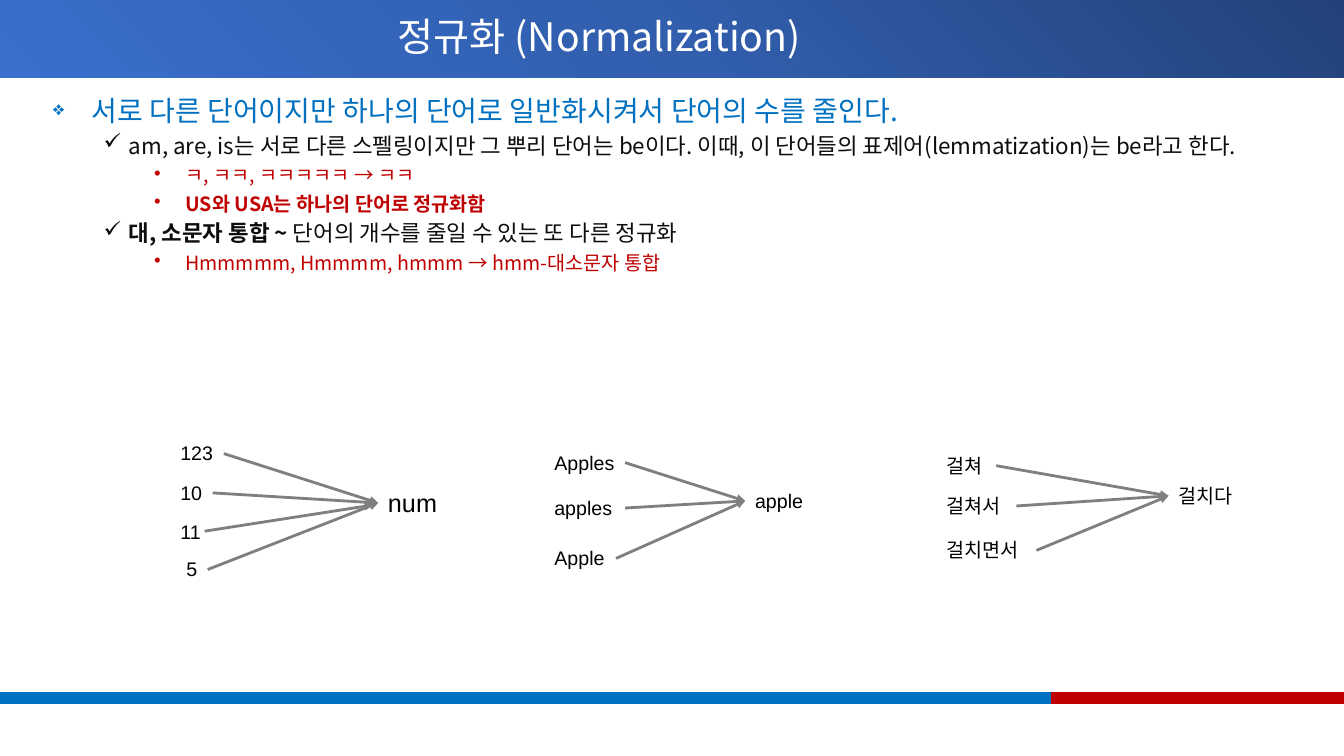
from dataclasses import dataclass
from typing import NamedTuple

from lxml import etree
from pptx import Presentation
from pptx.dml.color import RGBColor
from pptx.enum.shapes import MSO_CONNECTOR, MSO_SHAPE
from pptx.enum.text import MSO_ANCHOR, MSO_AUTO_SIZE, PP_ALIGN
from pptx.oxml import parse_xml
from pptx.oxml.ns import nsdecls, qn
from pptx.util import Emu, Pt

RECTANGLE = MSO_SHAPE.RECTANGLE
STRAIGHT = MSO_CONNECTOR.STRAIGHT
MIDDLE = MSO_ANCHOR.MIDDLE
CENTER = PP_ALIGN.CENTER
GROW = MSO_AUTO_SIZE.SHAPE_TO_FIT_TEXT
LEFT_SIDE, RIGHT_SIDE = 1, 3
EMU_PER_PX = 9144  # 100 px to the inch
TITLE_ONLY = 5


@dataclass(frozen=True)
class Theme:
    latin: str = "Arial"
    korean: str = "Noto Sans CJK KR"
    white: str = "FFFFFF"
    black: str = "000000"
    ink: str = "0D0D0D"
    blue: str = "0070C0"
    red: str = "C00000"
    arrow: str = "7F7F7F"
    header: tuple[str, str, str] = ("23427A", "315EAD", "3A6FCE")
    title_size: int = 28
    label_size: int = 14
    result_size: int = 18


THEME = Theme()


class Level(NamedTuple):
    bullet: str
    bullet_percent: int
    margin: int
    hanging: int
    size: int
    color: str
    space_before: int


TOPIC = Level("❖", 70, 38, 38, 20, THEME.blue, 10)
POINT = Level("✓", 100, 75, 25, 16, THEME.ink, 5)
EXAMPLE = Level("•", 100, 131, 31, 14, THEME.red, 5)


class Line(NamedTuple):
    level: Level
    text: str
    bold_lead: str = ""


class Word(NamedTuple):
    text: str
    left: int
    top: int
    width: int
    height: int = 34
    size: int = THEME.label_size
    loose_arrow: tuple[int, int, int, int] | None = None


class Mapping(NamedTuple):
    variants: list[Word]
    normal_form: Word


LINES = [
    Line(TOPIC, "서로 다른 단어이지만 하나의 단어로 일반화시켜서 단어의 수를 줄인다."),
    Line(POINT, "am, are, is는 서로 다른 스펠링이지만 그 뿌리 단어는 be이다. "
                "이때, 이 단어들의 표제어(lemmatization)는 be라고 한다."),
    Line(EXAMPLE, "ㅋ, ㅋㅋ, ㅋㅋㅋㅋㅋ → ㅋㅋ"),
    Line(EXAMPLE, "", "US와 USA는 하나의 단어로 정규화함"),
    Line(POINT, "단어의 개수를 줄일 수 있는 또 다른 정규화", "대, 소문자 통합 ~ "),
    Line(EXAMPLE, "Hmmmmm, Hmmmm, hmmm → hmm-대소문자 통합"),
]

MAPPINGS = [
    Mapping([Word("123", 169, 433, 53), Word("10", 169, 472, 42),
             Word("11", 169, 511, 40, loose_arrow=(203, 527, 370, 501)),
             Word("5", 175, 548, 31)],
            Word("num", 375, 479, 74, 40, THEME.result_size)),
    Mapping([Word("Apples", 540, 442, 80), Word("apples", 540, 487, 80),
             Word("Apple", 540, 537, 71)],
            Word("apple", 739, 480, 80)),
    Mapping([Word("걸쳐", 929, 445, 59), Word("걸쳐서", 929, 485, 79),
             Word("걸치면서", 929, 529, 99)],
            Word("걸치다", 1159, 475, 95)),
]


def px(*lengths: int) -> list[Emu]:
    return [Emu(length * EMU_PER_PX) for length in lengths]


def set_font(font, name: str, size: int, color: str) -> None:
    font.name = name
    font.size = Pt(size)
    font.color.rgb = RGBColor.from_string(color)
    east_asian = etree.Element(qn("a:ea"), typeface=THEME.korean)
    font._element.find(qn("a:latin")).addnext(east_asian)


def add_band(slide, left: int, top: int, width: int, height: int):
    band = slide.shapes.add_shape(RECTANGLE, *px(left, top, width, height))
    band.shadow.inherit = False
    return band


def add_header(slide) -> None:
    band = add_band(slide, 0, 0, 1333, 77)
    band.line.fill.background()
    stops = "".join(
        f'<a:gs pos="{index * 50000}"><a:srgbClr val="{color}"/></a:gs>'
        for index, color in enumerate(THEME.header))
    gradient = parse_xml(
        f'<a:gradFill {nsdecls("a")} rotWithShape="1"><a:gsLst>{stops}</a:gsLst>'
        '<a:path path="circle"><a:fillToRect l="100000" b="100000"/></a:path>'
        '</a:gradFill>')
    band.element.spPr.find(qn("a:prstGeom")).addnext(gradient)

    title = slide.shapes.title
    title.element.addprevious(band.element)
    title.left, title.top, title.width, title.height = px(43, 0, 1103, 77)
    title.text_frame.text = "정규화 (Normalization)"
    title.text_frame.vertical_anchor = MIDDLE
    paragraph = title.text_frame.paragraphs[0]
    paragraph.alignment = CENTER
    paragraph.line_spacing = 0.9
    set_font(paragraph.font, THEME.korean, THEME.title_size, THEME.white)


def add_footer(slide) -> None:
    for left, width, color in ((0, 1043, THEME.blue), (1043, 290, THEME.red)):
        band = add_band(slide, left, 687, width, 11)
        band.fill.solid()
        band.fill.fore_color.rgb = RGBColor.from_string(color)
        band.line.color.rgb = RGBColor.from_string(color)
        band.line.width = Pt(1)


def add_outline(slide, lines: list[Line]) -> None:
    frame = slide.shapes.add_textbox(*px(43, 92, 1263, 580)).text_frame
    frame.word_wrap = True
    for index, line in enumerate(lines):
        level = line.level
        paragraph = frame.add_paragraph() if index else frame.paragraphs[0]
        paragraph.line_spacing = 0.9
        if index:
            paragraph.space_before = Pt(level.space_before)
        properties = paragraph._p.get_or_add_pPr()
        margin, hanging = px(level.margin, level.hanging)
        properties.set("marL", str(margin))
        properties.set("indent", str(-hanging))
        etree.SubElement(properties, qn("a:buSzPct"), val=str(level.bullet_percent * 1000))
        etree.SubElement(properties, qn("a:buChar"), char=level.bullet)
        set_font(paragraph.font, THEME.korean, level.size, level.color)
        for text, bold in ((line.bold_lead, True), (line.text, False)):
            if text:
                run = paragraph.add_run()
                run.text = text
                run.font.bold = bold


def add_word(slide, word: Word, wrap: bool):
    box = slide.shapes.add_textbox(*px(word.left, word.top, word.width, word.height))
    box.text_frame.word_wrap = wrap
    box.text_frame.auto_size = GROW
    box.text_frame.text = word.text
    set_font(box.text_frame.paragraphs[0].font, THEME.latin, word.size, THEME.black)
    return box


def add_mapping(slide, mapping: Mapping) -> None:
    target = add_word(slide, mapping.normal_form, wrap=True)
    for variant in mapping.variants:
        source = add_word(slide, variant, wrap=False)
        ends = variant.loose_arrow or (0, 0, 0, 0)
        arrow = slide.shapes.add_connector(STRAIGHT, *px(*ends))
        if variant.loose_arrow is None:
            arrow.begin_connect(source, RIGHT_SIDE)
            arrow.end_connect(target, LEFT_SIDE)
        arrow.line.color.rgb = RGBColor.from_string(THEME.arrow)
        arrow.line.width = Pt(2)
        etree.SubElement(arrow.line._get_or_add_ln(), qn("a:tailEnd"), type="triangle")
        etree.SubElement(arrow._element.spPr, qn("a:effectLst"))


def main() -> None:
    deck = Presentation()
    deck.slide_width, deck.slide_height = px(1333, 750)
    slide = deck.slides.add_slide(deck.slide_layouts[TITLE_ONLY])
    add_header(slide)
    add_footer(slide)
    add_outline(slide, LINES)
    for mapping in MAPPINGS:
        add_mapping(slide, mapping)
    deck.save("out.pptx")


if __name__ == "__main__":
    main()
